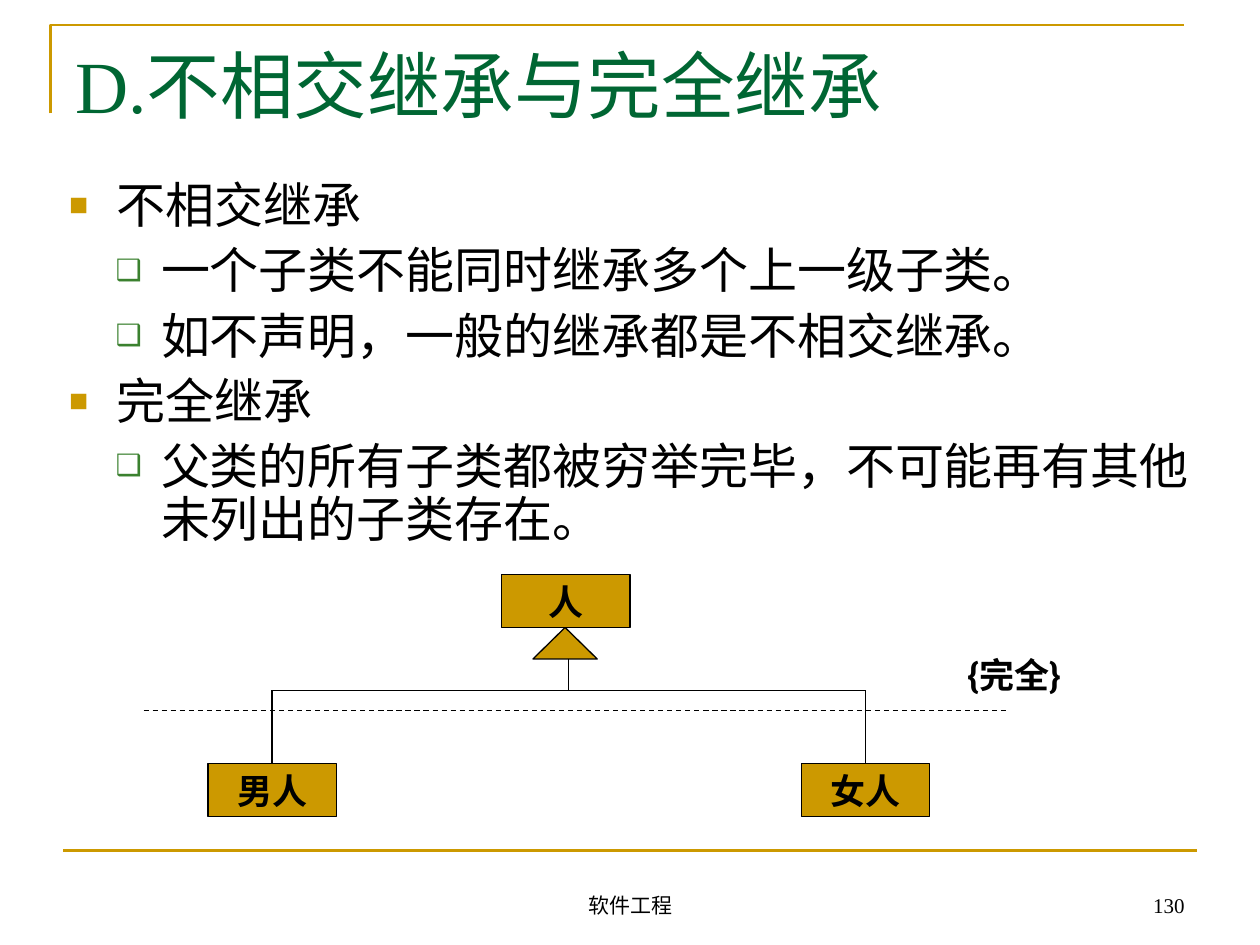
import pptx
import pptx.dml.color
import pptx.enum.dml
import pptx.enum.shapes
import pptx.enum.text
import pptx.oxml.ns
import pptx.util
from lxml import etree

RGBColor = pptx.dml.color.RGBColor
Align = pptx.enum.text.PP_ALIGN
Anchor = pptx.enum.text.MSO_ANCHOR
Shape = pptx.enum.shapes.MSO_SHAPE

GOLD = RGBColor(0xCC, 0x99, 0x00)
DARK_GREEN = RGBColor(0x00, 0x66, 0x33)
LEAF_GREEN = RGBColor(0x3B, 0x81, 0x2F)
BLACK = RGBColor(0, 0, 0)

SERIF = "Times New Roman"
COLUMNS, ROWS = 100, 75
CELL = pptx.util.Inches(0.1)
CLASS_SIZE = (10.2, 4.2)

BULLETS = [
    {"character": "■", "color": GOLD, "percent": 65, "left": 0.38, "hanging": 0.38},
    {"character": "❑", "color": LEAF_GREEN, "percent": 60, "left": 0.73, "hanging": 0.36},
]
OUTLINE = [
    (0, "不相交继承"),
    (1, "一个子类不能同时继承多个上一级子类。"),
    (1, "如不声明，一般的继承都是不相交继承。"),
    (0, "完全继承"),
    (1, "父类的所有子类都被穷举完毕，不可能再有其他未列出的子类存在。"),
]


def grid(*cells):
    return [round(cell * CELL) for cell in cells]


def write(paragraph, text, size=20, font="Roboto", color=BLACK, bold=False, align=Align.LEFT):
    paragraph.alignment = align
    run = paragraph.add_run()
    run.text = text
    run.font.size = pptx.util.Pt(size)
    run.font.name = font
    run.font.bold = bold
    run.font.color.rgb = color


def add_text_box(slide, area, anchor=Anchor.TOP):
    frame = slide.shapes.add_textbox(*grid(*area)).text_frame
    frame.word_wrap = True
    frame.vertical_anchor = anchor
    return frame


def add_bullet(paragraph, character, color, percent, left, hanging):
    properties = paragraph._p.get_or_add_pPr()
    properties.set("marL", str(pptx.util.Inches(left)))
    properties.set("indent", str(-pptx.util.Inches(hanging)))

    def add(parent, tag, **attributes):
        return etree.SubElement(parent, pptx.oxml.ns.qn(tag), attributes)

    add(add(properties, "a:buClr"), "a:srgbClr", val=str(color))
    add(properties, "a:buSzPct", val=str(percent * 1000))
    add(properties, "a:buFont", typeface="Arial")
    add(properties, "a:buChar", char=character)


def add_outline(slide, area):
    frame = add_text_box(slide, area)
    for index, (level, text) in enumerate(OUTLINE):
        paragraph = frame.add_paragraph() if index else frame.paragraphs[0]
        paragraph.level = level
        add_bullet(paragraph, **BULLETS[level])
        paragraph.line_spacing = 0.9
        paragraph.space_before = pptx.util.Pt(7 if index else 0)
        write(paragraph, text, size=28, font="Arial")


def add_shape(slide, kind, area):
    shape = slide.shapes.add_shape(kind, *grid(*area))
    shape.shadow.inherit = False
    shape.fill.solid()
    shape.fill.fore_color.rgb = GOLD
    shape.line.color.rgb = BLACK
    shape.line.width = pptx.util.Pt(0.75)
    return shape


def add_class(slide, column, row, name):
    shape = add_shape(slide, Shape.RECTANGLE, (column, row, *CLASS_SIZE))
    shape.text_frame.word_wrap = False
    shape.text_frame.vertical_anchor = Anchor.MIDDLE
    write(shape.text_frame.paragraphs[0], name, bold=True, align=Align.CENTER)
    return shape


def add_line(slide, start, end, color=BLACK, width=0.75, dash=None):
    line = slide.shapes.add_connector(
        pptx.enum.shapes.MSO_CONNECTOR.STRAIGHT, *grid(*start, *end))
    line.line.color.rgb = color
    line.line.width = pptx.util.Pt(width)
    if dash is not None:
        line.line.dash_style = dash
    etree.SubElement(line._element.spPr, pptx.oxml.ns.qn("a:effectLst"))
    return line


def add_corner_frame(slide):
    builder = slide.shapes.build_freeform(4.2, 9.2, scale=CELL)
    builder.add_line_segments([(4.2, 2.5), (94.2, 2.5)], close=False)
    corner = builder.convert_to_shape()
    corner.shadow.inherit = False
    corner.fill.background()
    corner.line.color.rgb = GOLD
    corner.line.width = pptx.util.Pt(1.5)


def add_inheritance_tree(slide):
    parent_row, branch_row, child_row = 45.6, 54.8, 60.6
    triangle_row = parent_row + CLASS_SIZE[1]
    add_class(slide, 39.8, parent_row, "人")
    add_shape(slide, Shape.ISOSCELES_TRIANGLE, (42.3, triangle_row, 5.1, 2.5))

    children = [(16.5, "男人"), (63.6, "女人")]
    centers = [column + CLASS_SIZE[0] / 2 for column, name in children]
    add_line(slide, (45.1, triangle_row + 2.5), (45.1, branch_row))
    add_line(slide, (centers[0], branch_row), (centers[1], branch_row))
    for center, (column, name) in zip(centers, children):
        child = add_class(slide, column, child_row, name)
        branch = add_line(slide, (center, branch_row), (center, child_row))
        branch.end_connect(child, 0)

    add_line(slide, (11.4, 56.4), (79.9, 56.4), dash=pptx.enum.dml.MSO_LINE.DASH)
    constraint = add_text_box(slide, (75.8, 51.4, 16.4, 4.4))
    write(constraint.paragraphs[0], "{完全}", bold=True)


def add_footer(slide, area, text, align):
    frame = add_text_box(slide, area, anchor=Anchor.BOTTOM)
    write(frame.paragraphs[0], text, size=12, font=SERIF, align=align)


def main():
    presentation = pptx.Presentation()
    presentation.slide_width, presentation.slide_height = grid(COLUMNS, ROWS)
    slide = presentation.slides.add_slide(presentation.slide_layouts[6])

    add_corner_frame(slide)
    add_line(slide, (5, 67.5), (95, 67.5), color=GOLD, width=1.5)
    add_outline(slide, (4.5, 13.9, 91.9, 31.8))
    add_inheritance_tree(slide)
    title = add_text_box(slide, (5, 2.7, 90, 9.7))
    write(title.paragraphs[0], "D.不相交继承与完全继承", size=42, font=SERIF, color=DARK_GREEN)
    add_footer(slide, (34.2, 68.3, 31.7, 5), "软件工程", Align.CENTER)
    add_footer(slide, (71.7, 68.3, 23.3, 5), "130", Align.RIGHT)

    presentation.save("out.pptx")


if __name__ == "__main__":
    main()
